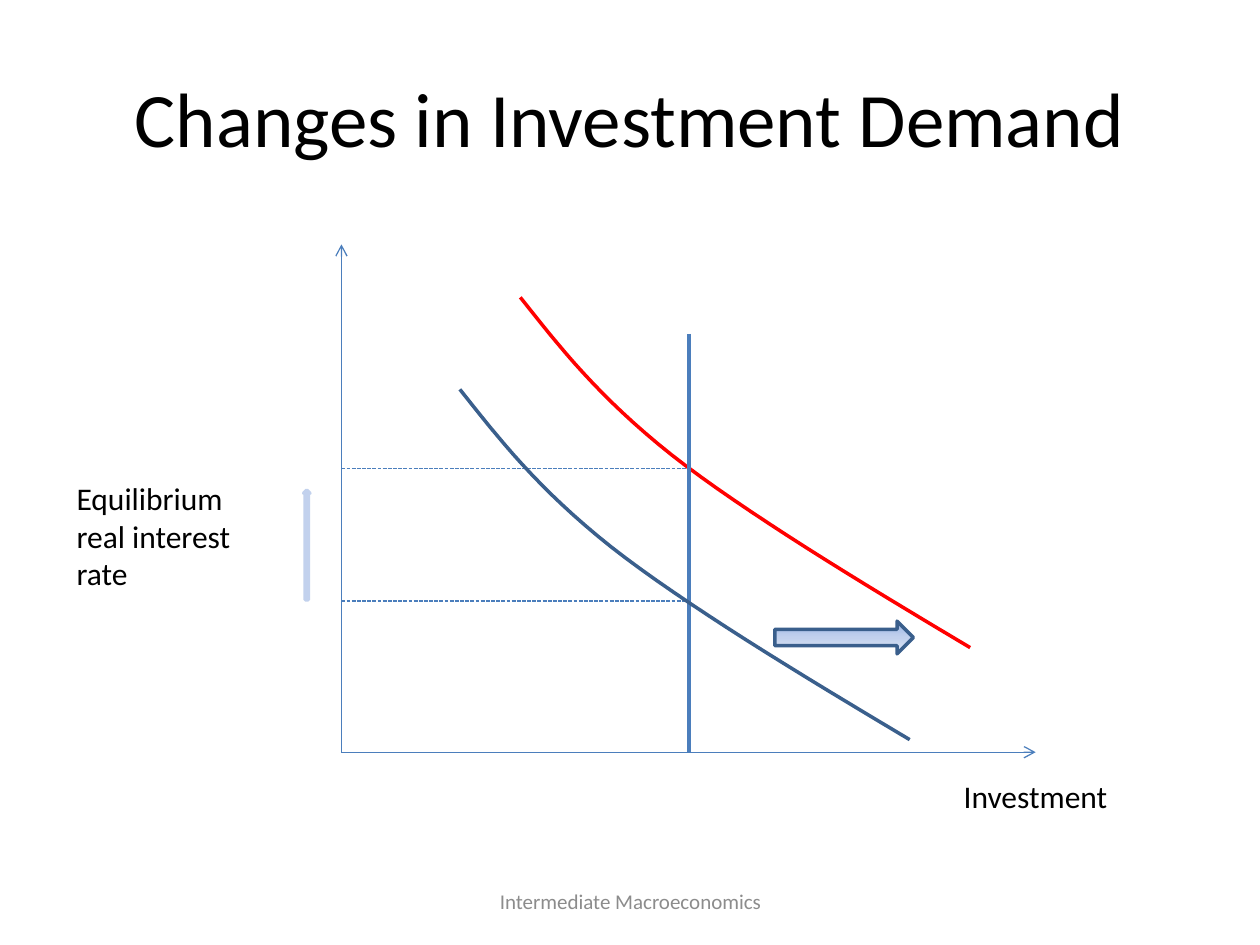
from copy import deepcopy

from lxml.etree import SubElement
from pptx import Presentation
from pptx.dml.color import RGBColor
from pptx.enum.dml import MSO_LINE
from pptx.enum.shapes import MSO_CONNECTOR, MSO_SHAPE
from pptx.enum.text import MSO_ANCHOR, PP_ALIGN
from pptx.oxml.ns import qn
from pptx.util import Inches, Pt

COLORS = {
    "text": "000000",
    "footer": "8C8C8C",
    "axis": "4B7EBC",
    "demand": "3A5F8C",
    "new_demand": "FF0000",
    "pale": "C2D1ED",
    "grad_start": "9AB5E4",
    "grad_end": "E1E8F5",
}

DEMAND_CURVE = [
    [(0, 0), (0.31, 0.39), (0.61, 0.78), (1.2, 1.25)],
    [(1.2, 1.25), (1.79, 1.71), (2.68, 2.25), (3.57, 2.78)],
]
CURVE_STEPS = 16


def rgb(name):
    return RGBColor.from_string(COLORS[name])


def set_line(sp, color, width):
    sp.line.color.rgb = rgb(color)
    sp.line.width = Pt(width)


def add_text(s, box, text, size, color="text", align=PP_ALIGN.LEFT, anchor=MSO_ANCHOR.TOP):
    tf = s.shapes.add_textbox(*map(Inches, box)).text_frame
    tf.word_wrap = True
    tf.vertical_anchor = anchor
    p = tf.paragraphs[0]
    p.text = text
    p.alignment = align
    p.font.name = "Calibri"
    p.font.size = Pt(size)
    p.font.color.rgb = rgb(color)


def add_line(s, start, end, width=0.75, arrow=False, dashed=False):
    sp = s.shapes.add_connector(MSO_CONNECTOR.STRAIGHT, *map(Inches, (*start, *end)))
    set_line(sp, "axis", width)
    if dashed:
        sp.line.dash_style = MSO_LINE.SQUARE_DOT
    if arrow:
        SubElement(sp.line._get_or_add_ln(), qn("a:tailEnd"), type="arrow")
    SubElement(sp._element.spPr, qn("a:effectLst"))


def bezier_point(controls, t):
    weights = ((1 - t) ** 3, 3 * t * (1 - t) ** 2, 3 * t**2 * (1 - t), t**3)
    return tuple(sum(w * c[axis] for w, c in zip(weights, controls)) for axis in (0, 1))


def add_curve(s, left, top, color):
    points = [
        bezier_point(controls, step / CURVE_STEPS)
        for controls in DEMAND_CURVE
        for step in range(1, CURVE_STEPS + 1)
    ]
    builder = s.shapes.build_freeform(Inches(left), Inches(top))
    builder.add_line_segments(
        [(Inches(left + x), Inches(top + y)) for x, y in points], close=False
    )
    sp = builder.convert_to_shape()
    sp.shadow.inherit = False
    sp.fill.background()
    set_line(sp, color, 2)


def add_arrow(s, kind, box, line_color):
    sp = s.shapes.add_shape(kind, *map(Inches, box))
    sp.shadow.inherit = False
    sp.fill.solid()
    sp.fill.fore_color.rgb = rgb("pale")
    set_line(sp, line_color, 2)
    return sp


def set_gradient(sp):
    sp.fill.gradient()
    sp.fill.gradient_angle = 270
    stops = sp.fill._fill._gradFill.gsLst
    stops.insert(1, deepcopy(stops[0]))
    names = ("grad_start", "pale", "grad_end")
    for stop, name, position in zip(sp.fill.gradient_stops, names, (0, 0.5, 1)):
        stop.color.rgb = rgb(name)
        stop.position = position


def add_diagram(s, left, top, width, height):
    bottom = top + height
    supply_x = left + 2.76
    add_line(s, (left, bottom), (left + width, bottom), arrow=True)
    add_line(s, (left, bottom), (left, top), arrow=True)
    add_curve(s, left + 1.42, top + 0.42, "new_demand")
    for y in (top + 1.78, top + 2.83):
        add_line(s, (left, y), (supply_x, y), dashed=True)
    add_line(s, (supply_x, top + 0.71), (supply_x, bottom + 0.01), width=2)
    add_curve(s, left + 0.94, top + 1.15, "demand")
    add_arrow(s, MSO_SHAPE.UP_ARROW, (left - 0.3, top + 1.95, 0.05, 0.87), "pale")
    shift = add_arrow(
        s, MSO_SHAPE.RIGHT_ARROW, (left + 3.44, top + 2.99, 1.1, 0.26), "demand"
    )
    set_gradient(shift)
    add_text(s, (left - 2.2, top + 1.81, 1.57, 1.01), "Equilibrium real interest rate", 18)
    add_text(s, (left + 4.84, bottom + 0.15, 1.93, 0.4), "Investment", 18)


def main():
    prs = Presentation()
    prs.slide_width = Inches(10)
    prs.slide_height = Inches(7.5)
    s = prs.slides.add_slide(prs.slide_layouts[6])
    centred = {"align": PP_ALIGN.CENTER, "anchor": MSO_ANCHOR.MIDDLE}
    add_text(s, (0.5, 0.3, 9, 1.25), "Changes in Investment Demand", 44, **centred)
    add_diagram(s, 2.71, 1.94, 5.51, 4.03)
    add_text(s, (3.42, 6.95, 3.17, 0.4), "Intermediate Macroeconomics", 12, "footer", **centred)
    prs.save("out.pptx")


if __name__ == "__main__":
    main()
